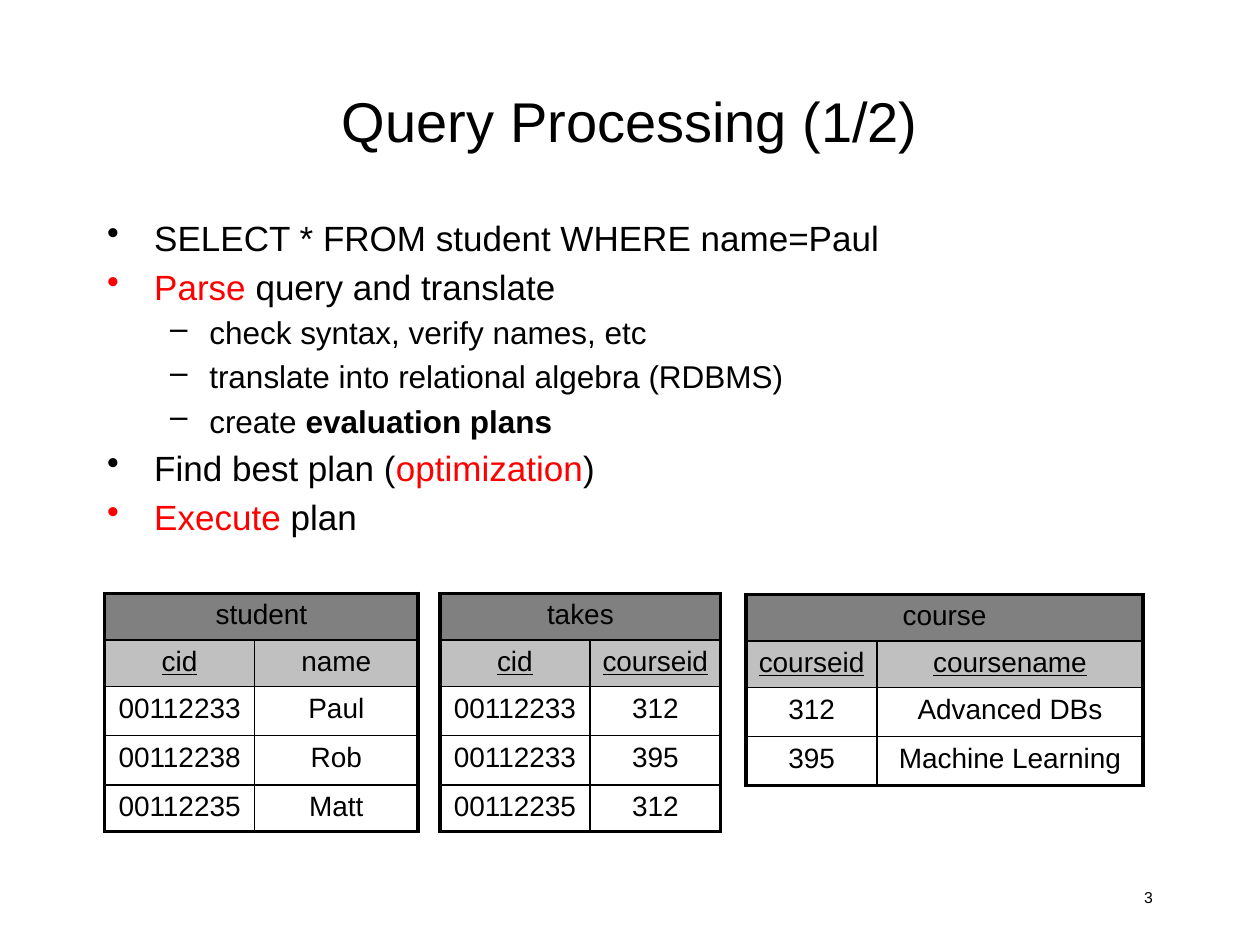
"""Build the query processing slide with its three sample tables."""
from lxml import etree
from pptx import Presentation
from pptx import util as u
from pptx.dml.color import RGBColor
from pptx.enum import text
from pptx.oxml import ns

BLACK = RGBColor(0, 0, 0)
RED = RGBColor(255, 0, 0)
GRAY = RGBColor(128, 128, 128)
SILVER = RGBColor(192, 192, 192)
FONT = "Arial"
THIN, THICK = 1, 2.25
LEFT, MID, RIGHT = text.PP_ALIGN.LEFT, text.PP_ALIGN.CENTER, text.PP_ALIGN.RIGHT

TITLE = "Query Processing (1/2)"
NUMBER = "3"
LEVELS = [
    {"size": 20, "mark": "•", "left": 0.95, "hang": 0.95},
    {"size": 18, "mark": "–", "left": 2.06, "hang": 0.79},
]
POINTS = [
    (0, [("SELECT * FROM student WHERE name=Paul", "")]),
    (0, [("Parse", "red"), (" query and translate", "")]),
    (1, [("check syntax, verify names, etc", "")]),
    (1, [("translate into relational algebra (RDBMS)", "")]),
    (1, [("create ", ""), ("evaluation plans", "bold")]),
    (0, [("Find best plan (", ""), ("optimization", "red"), (")", "")]),
    (0, [("Execute", "red"), (" plan", "")]),
]
TABLES = [
    {"name": "student", "at": (2.11, 11.96), "cols": (3.02, 3.3),
     "heads": ("cid", "name"), "keys": ("cid",),
     "rows": [("00112233", "Paul"), ("00112238", "Rob"), ("00112235", "Matt")]},
    {"name": "takes", "at": (8.87, 11.96), "cols": (3.02, 2.64),
     "heads": ("cid", "courseid"), "keys": ("cid", "courseid"),
     "rows": [("00112233", "312"), ("00112233", "395"), ("00112235", "312")]},
    {"name": "course", "at": (15.04, 11.98), "cols": (2.64, 5.36),
     "heads": ("courseid", "coursename"), "keys": ("courseid", "coursename"),
     "rows": [("312", "Advanced DBs"), ("395", "Machine Learning")]},
]
HEIGHTS = (0.94, 0.94, 0.99, 0.99, 0.94)


def style(para, size, align):
    para.alignment = align
    para.font.name = FONT
    para.font.size = u.Pt(size)
    para.font.color.rgb = BLACK


def add(root, tag, **attrs):
    return etree.SubElement(root, ns.qn(tag), attrs)


def box(slide, x, y, w, h):
    frame = slide.shapes.add_textbox(u.Cm(x), u.Cm(y), u.Cm(w), u.Cm(h)).text_frame
    frame.word_wrap = True
    return frame


def label(slide, words, size, align, anchor, place):
    frame = box(slide, *place)
    frame.vertical_anchor = anchor
    frame.text = words
    style(frame.paragraphs[0], size, align)


def bullet(para, level):
    rule = LEVELS[level]
    para.level = level
    style(para, rule["size"], LEFT)
    props = para._p.get_or_add_pPr()
    props.set("marL", str(u.Cm(rule["left"])))
    props.set("indent", str(-u.Cm(rule["hang"])))
    gap = etree.Element(ns.qn("a:spcBef"))
    add(gap, "a:spcPct", val="20000")
    props.insert(0, gap)
    mark = etree.Element(ns.qn("a:buChar"), char=rule["mark"])
    props.insert(1, mark)


def outline(slide):
    frame = box(slide, 1.91, 4.23, 21.59, 13.13)
    for i, (level, parts) in enumerate(POINTS):
        para = frame.add_paragraph() if i else frame.paragraphs[0]
        bullet(para, level)
        for words, look in parts:
            run = para.add_run()
            run.text = words
            run.font.name = FONT
            run.font.size = u.Pt(LEVELS[level]["size"])
            run.font.color.rgb = RED if look == "red" else BLACK
            if look == "bold":
                run.font.bold = True


def border(cell, edges):
    props = cell._tc.get_or_add_tcPr()
    for side, thick in zip("LRTB", edges):
        width = u.Pt(THICK if thick else THIN)
        line = add(props, "a:ln" + side, w=str(width))
        add(add(line, "a:solidFill"), "a:srgbClr", val=str(BLACK))


def grid(slide, data):
    rows = [(data["name"], ""), data["heads"], *data["rows"]]
    x, y = map(u.Cm, data["at"])
    wide, high = sum(data["cols"]), sum(HEIGHTS[:len(rows)])
    table = slide.shapes.add_table(len(rows), 2, x, y, u.Cm(wide), u.Cm(high)).table
    table.first_row = table.horz_banding = False
    for col, size in zip(table.columns, data["cols"]):
        col.width = u.Cm(size)
    for row, size in zip(table.rows, HEIGHTS):
        row.height = u.Cm(size)
    table.cell(0, 0).merge(table.cell(0, 1))
    for r, row in enumerate(rows):
        for c, words in enumerate(row):
            cell = table.cell(r, c)
            top, last = r == 0, r == len(rows) - 1
            border(cell, (top or c == 0, top or c == 1, top, last))
            if r < 2:
                cell.fill.solid()
                cell.fill.fore_color.rgb = (GRAY, SILVER)[r]
            else:
                cell.fill.background()
            if words:
                cell.text = words
                para = cell.text_frame.paragraphs[0]
                style(para, 16, MID)
                if r == 1 and words in data["keys"]:
                    para.runs[0].font.underline = True


def main():
    deck = Presentation()
    deck.slide_width, deck.slide_height = u.Cm(25.4), u.Cm(19.05)
    slide = deck.slides.add_slide(deck.slide_layouts[6])
    anchor = text.MSO_ANCHOR
    label(slide, NUMBER, 9, RIGHT, anchor.TOP, (18.21, 17.78, 5.28, 0.84))
    label(slide, TITLE, 32, MID, anchor.MIDDLE, (1.91, 0.84, 21.59, 3.18))
    outline(slide)
    for data in TABLES:
        grid(slide, data)
    deck.save("out.pptx")


main()
